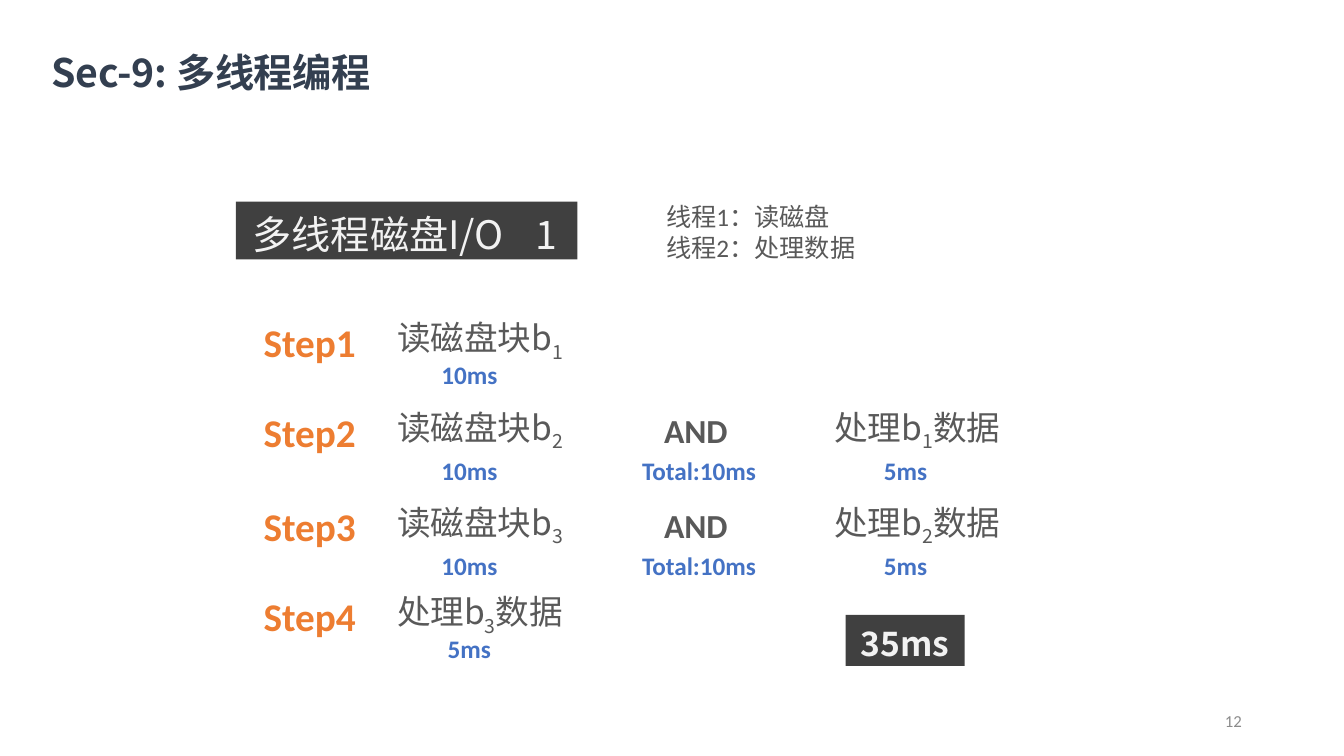
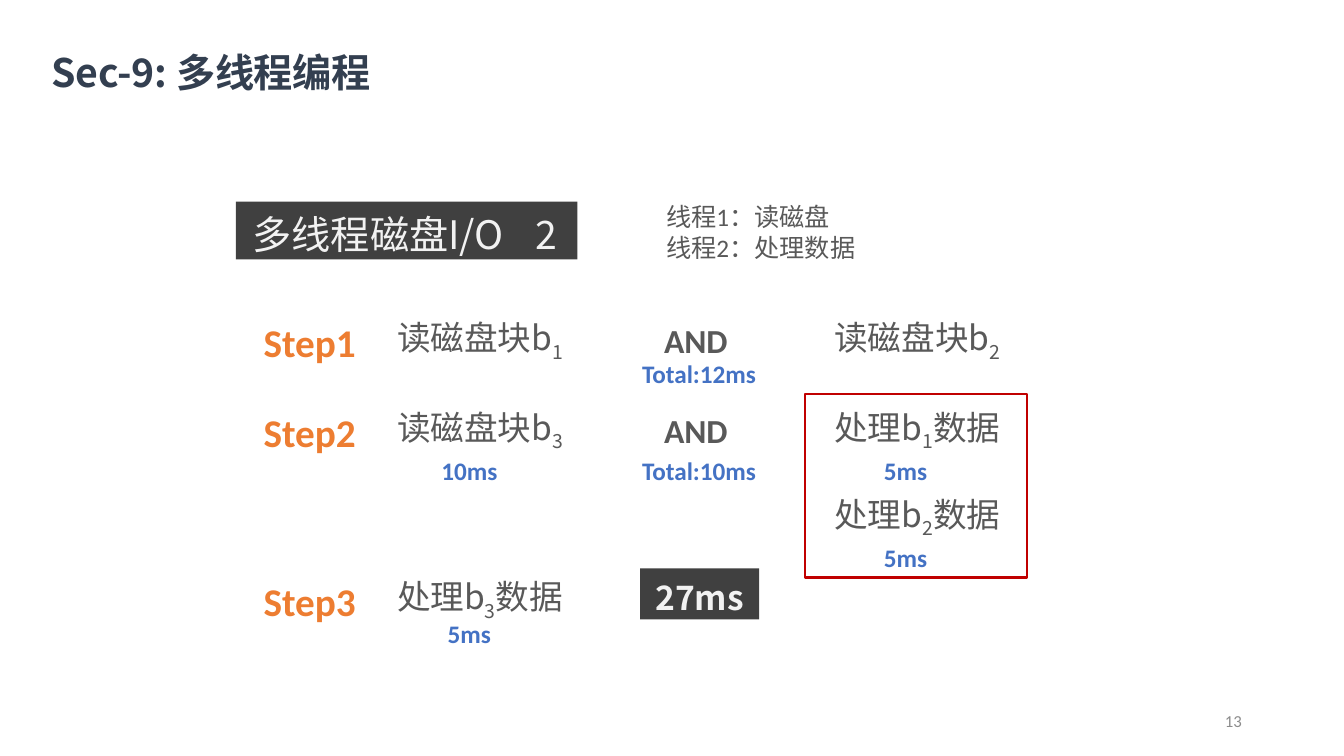
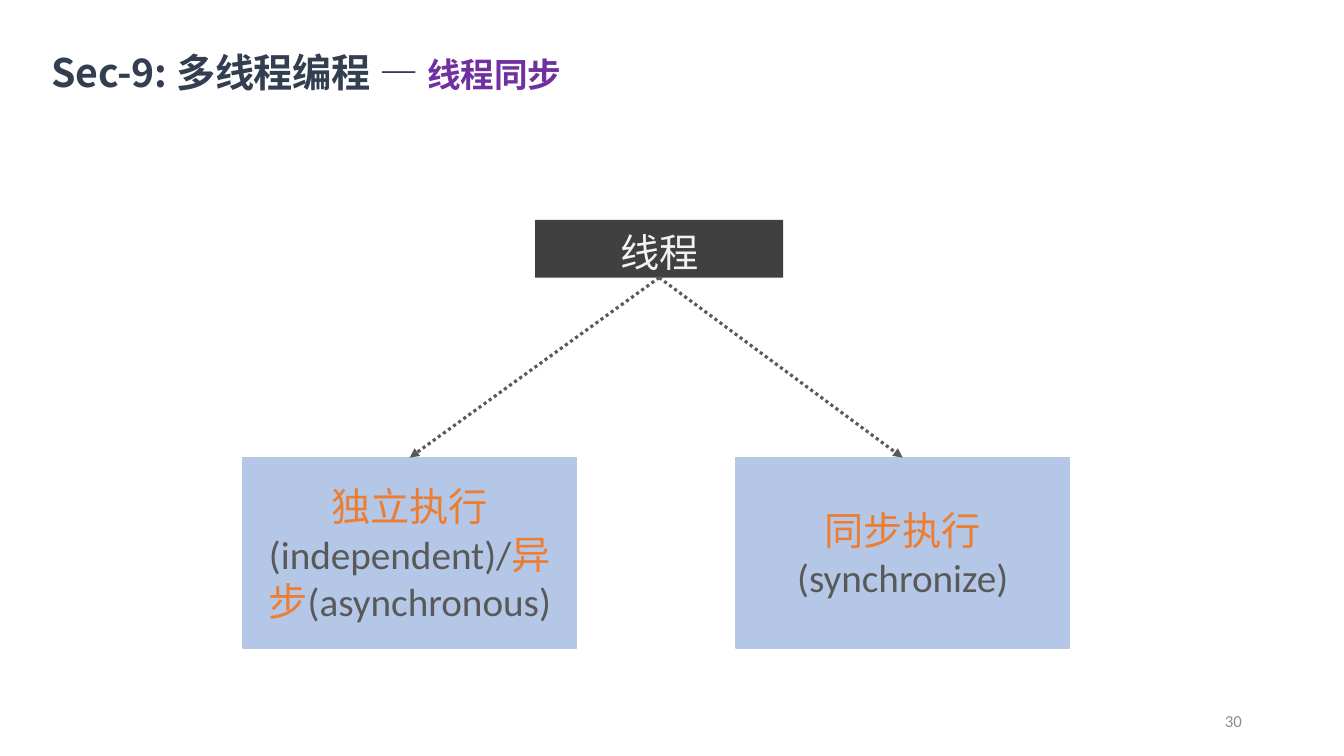
from dataclasses import dataclass
from typing import NamedTuple

from lxml import etree
from pptx import Presentation
from pptx.dml.color import RGBColor
from pptx.enum import dml, shapes, text
from pptx.oxml import ns
from pptx.util import Pt

NOTO = "Noto Sans CJK SC"
CALI = "Calibri"
LEAD = {NOTO: 1.3, CALI: 1.22}
NAVY = "333F50"
DARK = "404040"
PALE = "F2F2F2"
GRAY = "595959"
MUTE = "8C8C8C"
BLUE = "4472C4"
SKY = "B4C7E7"
GOLD = "ED7D31"
RED = "C00000"
PLUM = "7030A0"
LEFT = text.PP_ALIGN.LEFT
MID = text.PP_ALIGN.CENTER
END = text.PP_ALIGN.RIGHT
TOP = text.MSO_ANCHOR.TOP
HALF = text.MSO_ANCHOR.MIDDLE


class Box(NamedTuple):
    x: float
    y: float
    w: float
    h: float


class Bit(NamedTuple):
    text: str
    color: str = ""
    size: float = 0
    sub: bool = False


@dataclass
class Row:
    top: float
    step: str = ""
    left: str = ""
    time: str = ""
    total: str = ""
    right: str = ""
    cost: str = ""
    gap: float = 34


def rgb(code: str) -> RGBColor:
    return RGBColor.from_string(code)


def write(shape, *paras, font=CALI, size=18, color=GRAY, bold=False,
          align=MID, anchor=TOP, inset=(7.2, 3.6, 7.2, 3.6), track=0, tab=0):
    frame = shape.text_frame
    frame.word_wrap = True
    frame.auto_size = text.MSO_AUTO_SIZE.NONE
    frame.vertical_anchor = anchor
    (frame.margin_left, frame.margin_top,
     frame.margin_right, frame.margin_bottom) = map(Pt, inset)
    for num, bits in enumerate(paras):
        para = frame.add_paragraph() if num else frame.paragraphs[0]
        para.alignment = align
        para.line_spacing = Pt(round(size * LEAD[font], 1))
        if tab:
            stops = etree.SubElement(para._p.get_or_add_pPr(), ns.qn("a:tabLst"))
            etree.SubElement(stops, ns.qn("a:tab"), pos=str(Pt(tab)), algn="l")
        for bit in [Bit(bits)] if isinstance(bits, str) else bits:
            run = para.add_run()
            run.text = bit.text
            run.font.name = font
            run.font.size = Pt(bit.size or size)
            run.font.bold = bold
            run.font.color.rgb = rgb(bit.color or color)
            props = run._r.get_or_add_rPr()
            etree.SubElement(props, ns.qn("a:ea"), typeface=NOTO)
            if bit.sub:
                props.set("baseline", "-25000")
            if track:
                props.set("spc", str(round(track * 100)))
    return shape


def label(slide, box: Box, *paras, **form):
    return write(slide.shapes.add_textbox(*map(Pt, box)), *paras, **form)


def block(slide, box: Box, fill: str = "", line: str = "", width: float = 1):
    shape = slide.shapes.add_shape(shapes.MSO_SHAPE.RECTANGLE, *map(Pt, box))
    shape.shadow.inherit = False
    if fill:
        shape.fill.solid()
        shape.fill.fore_color.rgb = rgb(fill)
    else:
        shape.fill.background()
    if line:
        shape.line.color.rgb = rgb(line)
        shape.line.width = Pt(width)
    else:
        shape.line.fill.background()
    return shape


def page(deck, num: int, *more: Bit):
    slide = deck.slides.add_slide(deck.slide_layouts[5])
    title = slide.shapes.title
    title.left, title.top, title.width, title.height = map(Pt, (36, 30.2, 466.6, 36.4))
    write(title, [Bit("Sec-9: 多线程编程"), *more], font=NOTO, size=28, color=NAVY,
          bold=True, align=LEFT, inset=(0.7, 1.2, 0, 0), track=-0.1)
    label(slide, Box(678.2, 500.4, 216, 28.8), str(num), size=12, color=MUTE,
          align=END, anchor=HALF)
    return slide


def task(slide, x: float, y: float, name: str):
    head, _, rest = name.partition("_")
    bits = [Bit(head), Bit(rest[0], sub=True)]
    if rest[1:]:
        bits.append(Bit(rest[1:]))
    label(slide, Box(x, y, 158.4, 36), bits, font=NOTO, size=24)


def draw(slide, row: Row):
    mid = row.top + 1.4
    low = row.top + row.gap
    if row.step:
        label(slide, Box(173, row.top, 96.5, 41), row.step, size=28, color=GOLD, bold=True)
    for x, name in ((263.7, row.left), (576, row.right)):
        if name:
            task(slide, x, mid, name)
    if row.total:
        label(slide, Box(440.6, mid, 113, 36), "AND", size=24, bold=True)
    for x, wide, note in ((288.5, 93.6, row.time), (438.5, 121.7, row.total),
                          (600, 93.6, row.cost)):
        if note:
            label(slide, Box(x, low, wide, 28.8), note, color=BLUE, bold=True)


def plan(deck, num: int, part: int, rows: list[Row], sum_at: tuple[float, float], total: str):
    slide = page(deck, num)
    write(block(slide, Box(168.5, 144, 244, 41.3), DARK), f"多线程磁盘I/O\t{part}",
          font=NOTO, size=28, color=PALE, align=LEFT, inset=(12, 3.6, 0, 3.6), tab=202)
    label(slide, Box(468.7, 139.7, 266.4, 51), "线程1：读磁盘", "线程2：处理数据", align=LEFT)
    for row in rows:
        draw(slide, row)
    write(block(slide, Box(*sum_at, 85, 36.4), DARK), total, font=NOTO, size=24,
          color=PALE, bold=True)
    return slide


def link(slide, start, end):
    line = slide.shapes.add_connector(shapes.MSO_CONNECTOR.STRAIGHT, 0, 0, 0, 0)
    line.begin_connect(start, 2)
    line.end_connect(end, 0)
    line.line.color.rgb = rgb(GRAY)
    line.line.width = Pt(2.25)
    line.line.dash_style = dml.MSO_LINE.ROUND_DOT
    etree.SubElement(line.line._get_or_add_ln(), ns.qn("a:tailEnd"), type="triangle")
    etree.SubElement(line._element.spPr, ns.qn("a:effectLst"))


def main():
    deck = Presentation()
    deck.slide_width, deck.slide_height = Pt(960), Pt(540)

    plan(deck, 12, 1, [
        Row(223.2, "Step1", "读磁盘块b_1", "10ms", gap=29.5),
        Row(287.3, "Step2", "读磁盘块b_2", "10ms", "Total:10ms", "处理b_1数据", "5ms"),
        Row(355, "Step3", "读磁盘块b_3", "10ms", "Total:10ms", "处理b_2数据", "5ms"),
        Row(419, "Step4", "处理b_3数据", "5ms", gap=29.5),
    ], (604, 439.2), "35ms")

    second = plan(deck, 13, 2, [
        Row(223.2, "Step1", "读磁盘块b_1", total="Total:12ms", right="读磁盘块b_2", gap=29),
        Row(287.3, "Step2", "读磁盘块b_3", "10ms", "Total:10ms", "处理b_1数据", "5ms"),
        Row(349.2, right="处理b_2数据", cost="5ms"),
        Row(408.2, "Step3", "处理b_3数据", "5ms", gap=29.5),
    ], (457.2, 406), "27ms")
    block(second, Box(575.3, 281.5, 158.4, 131), line=RED, width=1.5)

    third = page(deck, 30, Bit(" — "), Bit("线程同步", PLUM, 24))
    root = write(block(third, Box(382.3, 157, 177.1, 41.3), DARK), "线程",
                 font=NOTO, size=28, color=PALE)
    kinds = (
        (173.5, [Bit("独立执行", GOLD), Bit("(independent)/"),
                 Bit("异步", GOLD), Bit("(asynchronous)")]),
        (525.6, [Bit("同步执行", GOLD), Bit("(synchronize)")]),
    )
    for x, bits in kinds:
        kind = block(third, Box(x, 326.9, 238.3, 136.1), SKY, SKY)
        write(kind, bits, size=28, anchor=HALF)
        link(third, root, kind)

    deck.save("out.pptx")


if __name__ == "__main__":
    main()
